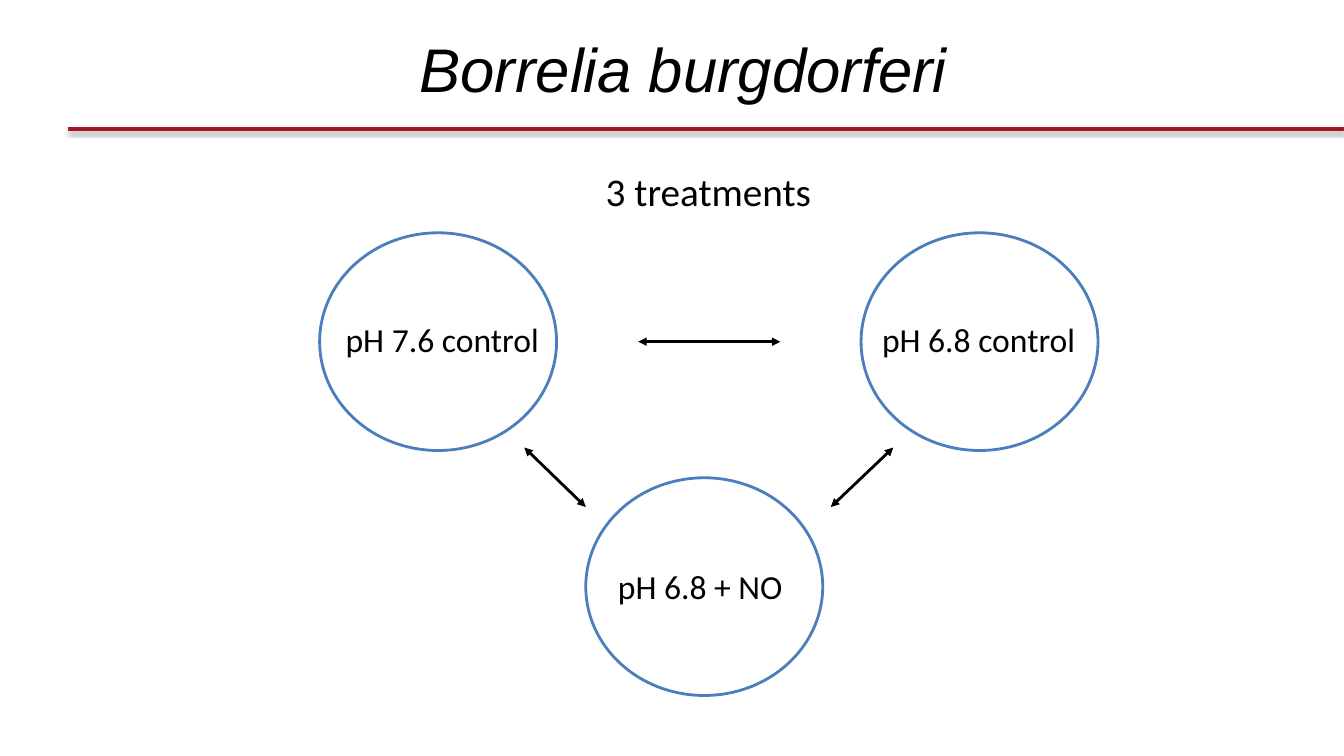
from lxml.etree import SubElement
from pptx import Presentation
from pptx.dml.color import RGBColor
from pptx.enum.shapes import MSO_CONNECTOR, MSO_SHAPE
from pptx.enum.text import MSO_ANCHOR, MSO_AUTO_SIZE, PP_ALIGN
from pptx.oxml.ns import qn
from pptx.util import Emu, Pt

PX = 9144  # 100 px to the inch
COLORS = {"text": "000000", "rule": "9D1924", "circle": "4B7EBC", "shadow": "000000"}


def px(*lengths):
    return [Emu(length * PX) for length in lengths]


def color(name):
    return RGBColor.from_string(COLORS[name])


def write(frame, text, size=24, font="Calibri", italic=False, align=PP_ALIGN.LEFT):
    paragraph = frame.paragraphs[0]
    paragraph.alignment = align
    run = paragraph.add_run()
    run.text = text
    run.font.size = Pt(size)
    run.font.name = font
    run.font.italic = italic
    run.font.color.rgb = color("text")


class SlideBuilder:
    def __init__(self, presentation):
        self.slide = presentation.slides.add_slide(presentation.slide_layouts[6])

    def line(self, start, end, line_color="text", width=2, arrows=False, shadow=False):
        connector = self.slide.shapes.add_connector(
            MSO_CONNECTOR.STRAIGHT, *px(*start, *end))
        connector.line.color.rgb = color(line_color)
        connector.line.width = Pt(width)
        if arrows:
            outline = connector.line._get_or_add_ln()
            for tag in ("a:headEnd", "a:tailEnd"):
                SubElement(outline, qn(tag), type="triangle")
        effects = SubElement(connector._element.spPr, qn("a:effectLst"))
        if shadow:
            outer = SubElement(effects, qn("a:outerShdw"), blurRad=str(Pt(3.1)),
                               dist=str(Pt(1.6)), dir="5400000", rotWithShape="0")
            tint = SubElement(outer, qn("a:srgbClr"), val=COLORS["shadow"])
            SubElement(tint, qn("a:alpha"), val="38000")

    def circle(self, left, top, width=235, height=216):
        shape = self.slide.shapes.add_shape(
            MSO_SHAPE.OVAL, *px(left, top, width, height))
        shape.shadow.inherit = False
        shape.fill.background()
        shape.line.color.rgb = color("circle")
        shape.line.width = Pt(2)

    def title(self, text, left, top, width, height):
        frame = self.slide.shapes.add_textbox(*px(left, top, width, height)).text_frame
        frame.word_wrap = True
        frame.vertical_anchor = MSO_ANCHOR.MIDDLE
        write(frame, text, size=44, font="Arial", italic=True, align=PP_ALIGN.CENTER)

    def label(self, text, left, top, width, height=50, **style):
        frame = self.slide.shapes.add_textbox(*px(left, top, width, height)).text_frame
        frame.word_wrap = False
        frame.auto_size = MSO_AUTO_SIZE.SHAPE_TO_FIT_TEXT
        write(frame, text, **style)


def main():
    presentation = Presentation()
    presentation.slide_width, presentation.slide_height = px(1333, 750)
    builder = SlideBuilder(presentation)

    # Heading
    builder.line((67, 128), (1333, 128), line_color="rule", width=3, shadow=True)
    builder.title("Borrelia burgdorferi", 90, 21, 1176, 93)

    # Treatment circles
    for left, top in ((317, 231), (854, 231), (581, 474)):
        builder.circle(left, top)

    # Labels
    builder.label("3 treatments", 591, 161, 226, 57, size=28)
    for text, left, top, width in (
        ("pH 7.6 control", 333, 311, 213),
        ("pH 6.8 control", 865, 311, 213),
        ("pH 6.8 + NO", 603, 557, 185),
    ):
        builder.label(text, left, top, width)

    # Comparison arrows
    for start, end in (
        ((633, 339), (774, 339)),
        ((520, 444), (581, 503)),
        ((886, 444), (824, 503)),
    ):
        builder.line(start, end, arrows=True)

    presentation.save("out.pptx")


if __name__ == "__main__":
    main()
